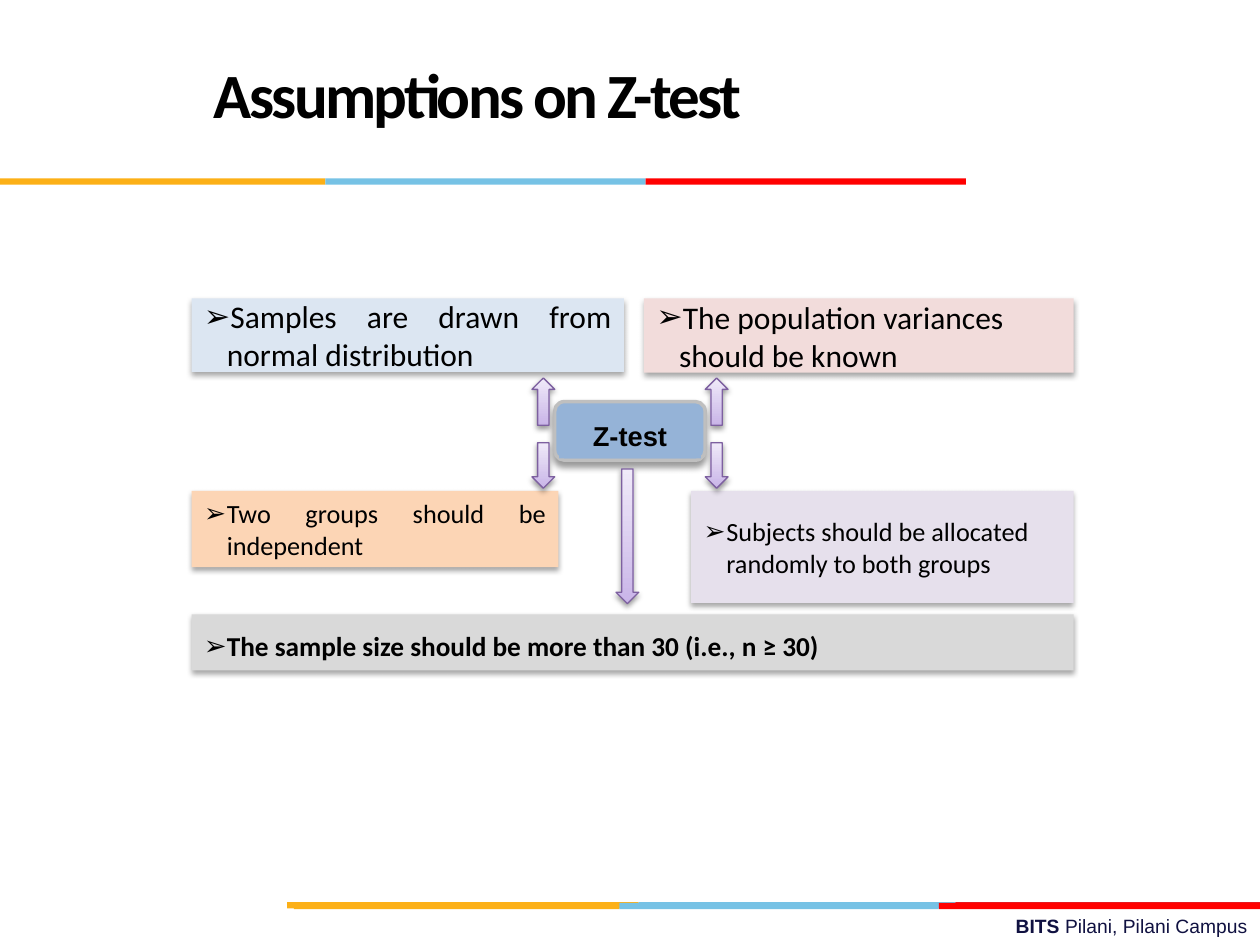
from pptx import Presentation
from pptx.dml.color import RGBColor
from pptx.enum import shapes, text
from pptx.oxml import parse_xml
from pptx.oxml import ns
from pptx.util import Pt

SHAPE = shapes.MSO_SHAPE
ALIGN = text.PP_ALIGN
ANCHOR = text.MSO_ANCHOR
ORANGE, BLUE, RED = "FCB017", "76C2E5", "FF0000"


def rgb(value):
    return RGBColor.from_string(value)


def write(p, content, size=18, font="Calibri", color="000000", bold=False):
    r = p.add_run()
    r.text = content
    r.font.size, r.font.name, r.font.bold = Pt(size), font, bold
    r.font.color.rgb = rgb(color)
    return r


def add_shadow(sp, alpha, blur, dist):
    sp._element.spPr.append(parse_xml(
        f'<a:effectLst {ns.nsdecls("a")}>'
        f'<a:outerShdw blurRad="{Pt(blur)}" dist="{Pt(dist)}" dir="5400000" rotWithShape="0">'
        f'<a:srgbClr val="000000"><a:alpha val="{alpha * 1000}"/></a:srgbClr>'
        '</a:outerShdw></a:effectLst>'))


def add_bullet(p, indent):
    pPr = p._p.get_or_add_pPr()
    pPr.set("marL", str(Pt(indent)))
    pPr.set("indent", str(-Pt(indent)))
    pPr.append(parse_xml(f'<a:buFont {ns.nsdecls("a")} typeface="Wingdings"/>'))
    pPr[-1].set("typeface", "Arial")
    pPr.append(parse_xml(f'<a:buChar {ns.nsdecls("a")} char="➢"/>'))


class Deck:
    line_color = "7D60A0"
    arrow_colors = ("C9B5E8", "F0EAF9")
    indent = 13

    def __init__(self, prs):
        self.s = prs.slides.add_slide(prs.slide_layouts[5])

    def shape(self, kind, x, y, w, h, fill=None, shadow=None):
        sp = self.s.shapes.add_shape(kind, Pt(x), Pt(y), Pt(w), Pt(h))
        if fill:
            sp.fill.solid()
            sp.fill.fore_color.rgb = rgb(fill)
        sp.line.fill.background()
        if shadow:
            add_shadow(sp, *shadow)
        else:
            sp.shadow.inherit = False
        return sp

    def stripe(self, y, edges, colors):
        for left, right, color in zip(edges, edges[1:], colors):
            self.shape(SHAPE.RECTANGLE, left, y, right - left, 3.6, color)

    def title(self, content, x, y, w, h):
        sp = self.s.shapes.title
        sp.left, sp.top, sp.width, sp.height = Pt(x), Pt(y), Pt(w), Pt(h)
        tf = sp.text_frame
        tf.auto_size = text.MSO_AUTO_SIZE.NONE
        tf.vertical_anchor = ANCHOR.MIDDLE
        p = tf.paragraphs[0]
        p.alignment, p.line_spacing = ALIGN.CENTER, Pt(36)
        r = write(p, content, size=36, bold=True)
        r.font._element.set("spc", "-150")

    def footer(self, name, place, x, y, w, h):
        tf = self.s.shapes.add_textbox(Pt(x), Pt(y), Pt(w), Pt(h)).text_frame
        tf.word_wrap = True
        p = tf.paragraphs[0]
        p.alignment = ALIGN.RIGHT
        for content, bold in ((name, True), (place, False)):
            write(p, content, size=11, font="Arial", color="101141", bold=bold)

    def hub(self, content, x, y, w, h):
        fill = "95B3D7"
        sp = self.shape(SHAPE.ROUNDED_RECTANGLE, x, y, w, h, fill, (40, 4, 3))
        sp.line.color.rgb = rgb("BFBFBF")
        sp.line.width = Pt(2)
        label = self.shape(SHAPE.RECTANGLE, x + 2.5, y + 6.5, w - 5, 26, fill)
        tf = label.text_frame
        tf.vertical_anchor = ANCHOR.TOP
        p = tf.paragraphs[0]
        p.alignment = ALIGN.CENTER
        write(p, content, size=15.6, font="Arial", bold=True)

    def card(self, content, x, y, w, h, fill, align=ALIGN.LEFT, spacing=None, **style):
        sp = self.shape(SHAPE.ROUND_2_DIAG_RECTANGLE, x, y, w, h, fill, (35, 3.1, 1.8))
        sp.adjustments[0] = sp.adjustments[1] = 0
        tf = sp.text_frame
        tf.word_wrap = True
        tf.vertical_anchor = ANCHOR.MIDDLE
        p = tf.paragraphs[0]
        p.alignment = align
        if spacing:
            p.line_spacing = spacing
        add_bullet(p, self.indent)
        write(p, content, **style)

    def arrow(self, kind, x, y, h):
        sp = self.shape(kind, x, y, 13, h, shadow=(38, 3.1, 1.6))
        sp.fill.gradient()
        sp.fill.gradient_angle = 90
        for stop, color in zip(sp.fill.gradient_stops, self.arrow_colors):
            stop.color.rgb = rgb(color)
        sp.line.color.rgb = rgb(self.line_color)
        sp.line.width = Pt(0.75)


def main():
    prs = Presentation()
    prs.slide_width, prs.slide_height = Pt(720), Pt(540)
    deck = Deck(prs)

    deck.footer("BITS ", "Pilani, Pilani Campus", 258, 519, 462, 21)
    deck.stripe(515.5, (164, 365, 546, 720), (ORANGE, BLUE, "E31C24"))
    deck.stripe(516, (168, 354, 536.5, 720), (ORANGE, BLUE, RED))
    deck.stripe(102, (0, 186, 369, 552), (ORANGE, BLUE, RED))
    deck.title("Assumptions on Z-test", 24, 12, 498, 90)
    deck.hub("Z-test", 317, 229.5, 86, 33.5)

    left, right = 109.5, 613.5
    deck.card("Samples are drawn from normal distribution",
              left, 170.5, 247, 42, "DCE6F2", align=ALIGN.JUSTIFY)
    deck.card("The population variances should be known",
              right - 245.5, 170.5, 245.5, 42.5, "F2DCDB")
    deck.card("Two groups should be independent",
              left, 280.5, 209.5, 43.5, "FCD5B5", align=ALIGN.JUSTIFY, size=15)
    deck.card("Subjects should be allocated randomly to both groups",
              right - 218.5, 280.5, 218.5, 64, "E6E0EC", size=15)
    deck.card("The sample size should be more than 30 (i.e., n ≥ 30)",
              left, 351, right - left, 32, "D9D9D9", spacing=1.2, size=15.6, bold=True)

    for kind, y, h in ((SHAPE.UP_ARROW, 216, 27), (SHAPE.DOWN_ARROW, 253, 26)):
        for x in (304, 403):
            deck.arrow(kind, x, y, h)
    deck.arrow(SHAPE.DOWN_ARROW, 352, 268, 77)

    prs.save("out.pptx")


if __name__ == "__main__":
    main()
